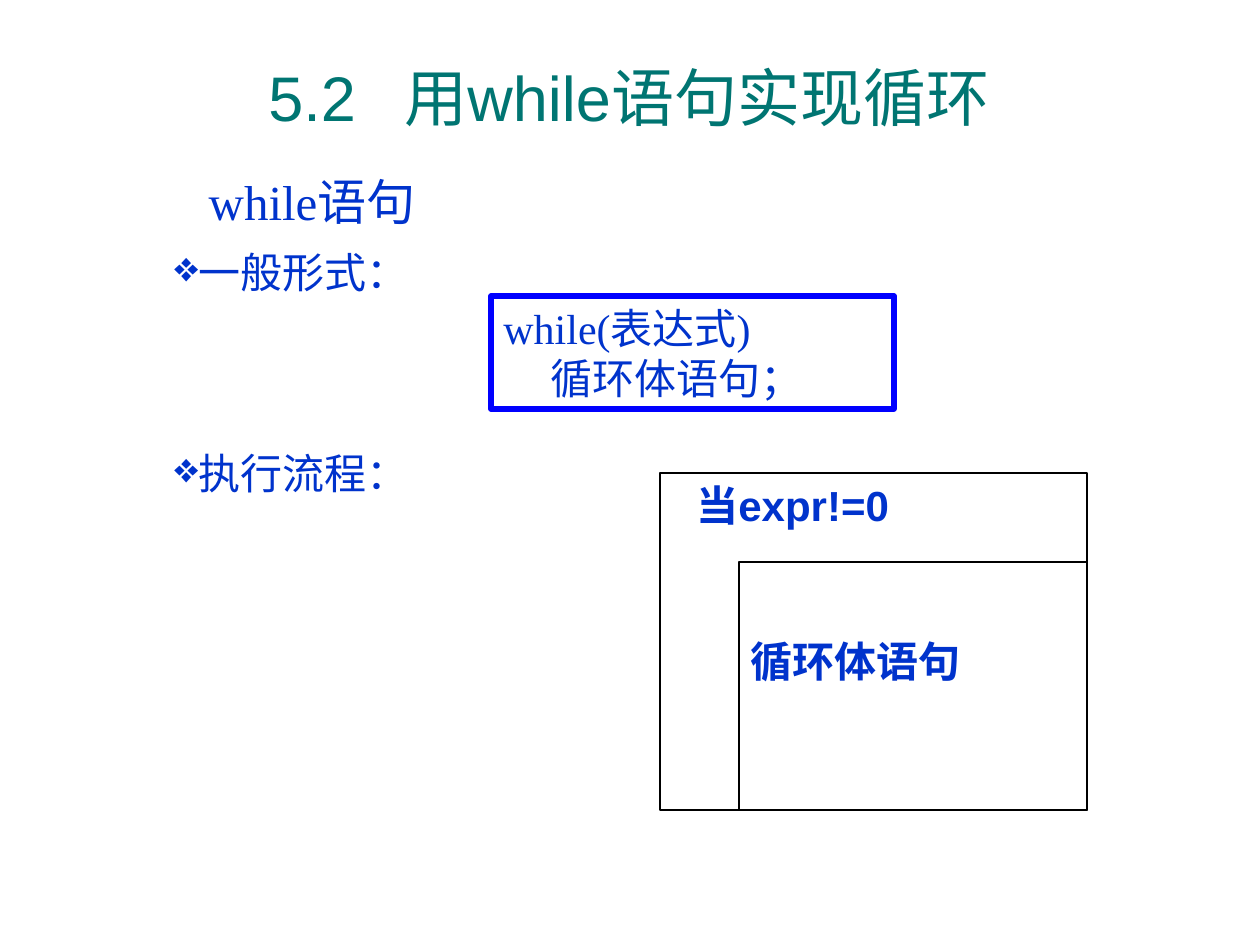
from lxml import etree
from pptx import Presentation
from pptx.dml.color import RGBColor
from pptx.enum.shapes import MSO_SHAPE
from pptx.enum.text import MSO_ANCHOR, PP_ALIGN
from pptx.oxml.ns import qn
from pptx.util import Emu, Pt

RECTANGLE = MSO_SHAPE.RECTANGLE
TOP, MIDDLE = MSO_ANCHOR.TOP, MSO_ANCHOR.MIDDLE
LEFT, CENTER = PP_ALIGN.LEFT, PP_ALIGN.CENTER

EMU_PER_PX = 914400 / 126
BLUE, TEAL, BORDER, BLACK = "0033CC", "007572", "0000FF", "000000"
SERIF, SANS, CJK = "Times New Roman", "Arial", "Noto Sans CJK SC"


def px(length):
    return Emu(round(length * EMU_PER_PX))


def rgb(color):
    return RGBColor.from_string(color)


def add_run(paragraph, text, font, size, color=BLUE, bold=False):
    run = paragraph.add_run()
    run.text = text
    run.font.name = font
    run.font.size = Pt(size)
    run.font.bold = bold
    run.font.color.rgb = rgb(color)
    east_asian = etree.SubElement(run.font._element, qn("a:ea"))
    east_asian.set("typeface", CJK)


def prepare_frame(frame, anchor):
    frame.word_wrap = True
    frame.vertical_anchor = anchor
    return frame


def add_text_box(shapes, left, top, width, height, anchor=TOP):
    box = shapes.add_textbox(px(left), px(top), px(width), px(height))
    return prepare_frame(box.text_frame, anchor)


def add_frame(shapes, left, top, width, height, color, line_width):
    """Add an unfilled outlined rectangle."""
    frame = shapes.add_shape(RECTANGLE, px(left), px(top), px(width), px(height))
    frame.shadow.inherit = False
    frame.fill.background()
    frame.line.color.rgb = rgb(color)
    frame.line.width = Pt(line_width)
    return frame


def add_heading(shapes):
    """Add the section number and title, separated by a tab stop."""
    paragraph = add_text_box(shapes, 256, 45, 800, 102, MIDDLE).paragraphs[0]
    properties = paragraph._p.get_or_add_pPr()
    tabs = etree.SubElement(properties, qn("a:tabLst"))
    etree.SubElement(tabs, qn("a:tab"), pos=str(px(136)), algn="l")
    add_run(paragraph, "5.2\t用while语句实现循环", SANS, 36, TEAL)


def add_subheading(shapes):
    paragraph = add_text_box(shapes, 62, 165, 500, 72, MIDDLE).paragraphs[0]
    paragraph.alignment = CENTER
    add_run(paragraph, "while", SERIF, 28)
    add_run(paragraph, "语句", CJK, 28)


def add_bullet_item(shapes, top, label):
    paragraph = add_text_box(shapes, 63, top, 400, 73).paragraphs[0]
    properties = paragraph._p.get_or_add_pPr()
    properties.set("marL", str(px(99)))
    properties.set("indent", "0")
    bullet_color = etree.SubElement(properties, qn("a:buClr"))
    etree.SubElement(bullet_color, qn("a:srgbClr"), val=BLUE)
    etree.SubElement(properties, qn("a:buChar"), char="❖")
    add_run(paragraph, label, CJK, 24)
    add_run(paragraph, "：", SERIF, 24)


def add_syntax_box(shapes):
    box = add_frame(shapes, 491, 296, 403, 113, BORDER, 3)
    frame = prepare_frame(box.text_frame, MIDDLE)
    condition, body = frame.paragraphs[0], frame.add_paragraph()
    for paragraph, text in ((condition, "while(表达式)"), (body, "循环体语句；")):
        paragraph.alignment = LEFT
        add_run(paragraph, text, SERIF, 24)
    body._p.get_or_add_pPr().set("marL", str(px(47)))


def add_flow_label(shapes, left, top, text):
    paragraph = add_text_box(shapes, left, top, 325, 58).paragraphs[0]
    paragraph.line_spacing = 0.9
    add_run(paragraph, text, SANS, 24, bold=True)


def add_loop_diagram(shapes):
    """Add the nested-box loop: condition outside, body inside."""
    diagram = shapes.add_group_shape().shapes
    right, bottom = 1087, 810
    for left, top in ((660, 473), (739, 562)):
        add_frame(diagram, left, top, right - left, bottom - top, BLACK, 0.75)
    add_flow_label(diagram, 684, 479, "当expr!=0")
    add_flow_label(diagram, 738, 635, "循环体语句")


def main():
    presentation = Presentation()
    presentation.slide_width, presentation.slide_height = px(1260), px(945)
    shapes = presentation.slides.add_slide(presentation.slide_layouts[6]).shapes
    add_heading(shapes)
    add_subheading(shapes)
    add_bullet_item(shapes, 240, "一般形式")
    add_syntax_box(shapes)
    add_bullet_item(shapes, 441, "执行流程")
    add_loop_diagram(shapes)
    presentation.save("out.pptx")


if __name__ == "__main__":
    main()
